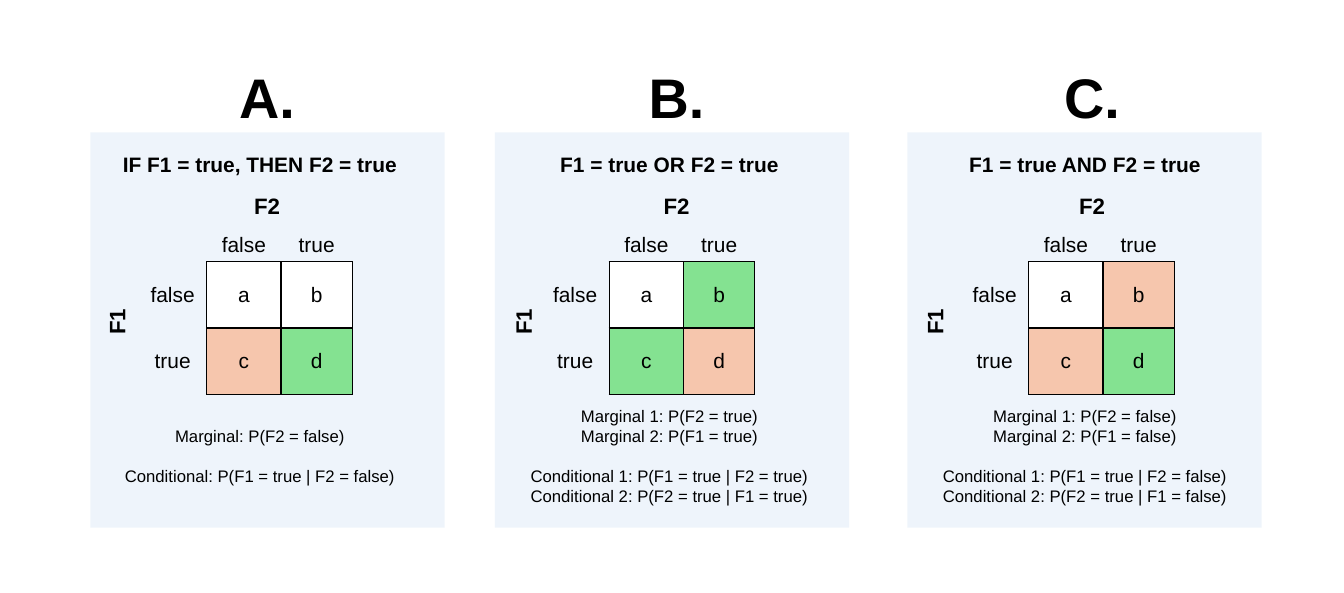
import dataclasses

import lxml.etree
import pptx
import pptx.dml.color
import pptx.enum.shapes
import pptx.enum.text
import pptx.oxml.ns
import pptx.util

Inches = pptx.util.Inches
qn = pptx.oxml.ns.qn


@dataclasses.dataclass(frozen=True)
class Theme:
    font: str = "Arial"
    ink: str = "000000"
    panel: str = "DCEAF7"
    panel_alpha: int = 48
    white: str = "FFFFFF"
    green: str = "84E291"
    orange: str = "F6C6AD"
    letter: int = 40
    axis: int = 16
    body: int = 15
    formula: int = 12
    border: int = 1


def rgb(color):
    return pptx.dml.color.RGBColor.from_string(color)


def write(tf, text, *, font, color, size, bold=False, gap=0):
    for i, block in enumerate(text.split("\n\n")):
        for j, line in enumerate(block.split("\n")):
            p = tf.paragraphs[0] if i == j == 0 else tf.add_paragraph()
            p.alignment = pptx.enum.text.PP_ALIGN.CENTER
            if i and j == 0:
                p.space_before = pptx.util.Pt(gap)
            r = p.add_run()
            r.text = line
            r.font.name = font
            r.font.size = pptx.util.Pt(size)
            r.font.bold = bold
            r.font.color.rgb = rgb(color)


class Deck:
    def __init__(self, theme, width, height):
        self.theme = theme
        self.prs = pptx.Presentation()
        self.prs.slide_width = Inches(width)
        self.prs.slide_height = Inches(height)
        self.s = self.prs.slides.add_slide(self.prs.slide_layouts[6])

    def panel(self, left, top, width, height):
        sp = self.s.shapes.add_shape(
            pptx.enum.shapes.MSO_SHAPE.RECTANGLE,
            Inches(left), Inches(top), Inches(width), Inches(height))
        sp.shadow.inherit = False
        sp.line.fill.background()
        sp.fill.solid()
        sp.fill.fore_color.rgb = rgb(self.theme.panel)
        color = sp.fill._xPr.find(".//" + qn("a:srgbClr"))
        lxml.etree.SubElement(
            color, qn("a:alpha"), val=str(self.theme.panel_alpha * 1000))

    def text(self, text, center, top, width, height, size, rotation=0, **style):
        sp = self.s.shapes.add_textbox(
            Inches(center - width / 2), Inches(top),
            Inches(width), Inches(height))
        sp.rotation = rotation
        tf = sp.text_frame
        tf.word_wrap = True
        tf.vertical_anchor = pptx.enum.text.MSO_ANCHOR.MIDDLE
        write(tf, text, font=self.theme.font, color=self.theme.ink,
              size=size, **style)

    def borders(self, cell, sides):
        tcPr = cell._tc.get_or_add_tcPr()
        for side in "LRTB":
            ln = lxml.etree.SubElement(
                tcPr, qn("a:ln" + side),
                w=str(pptx.util.Pt(self.theme.border)))
            if side in sides:
                fill = lxml.etree.SubElement(ln, qn("a:solidFill"))
                lxml.etree.SubElement(
                    fill, qn("a:srgbClr"), val=self.theme.ink)
            else:
                lxml.etree.SubElement(ln, qn("a:noFill"))

    def table(self, left, top, cols, rows, texts, fills):
        table = self.s.shapes.add_table(
            len(rows), len(cols), Inches(left), Inches(top),
            Inches(sum(cols)), Inches(sum(rows))).table
        table.first_row = table.horz_banding = False
        for column, width in zip(table.columns, cols):
            column.width = Inches(width)
        for row, height in zip(table.rows, rows):
            row.height = Inches(height)
        for i, line in enumerate(texts):
            for j, text in enumerate(line):
                cell = table.cell(i, j)
                cell.margin_left = cell.margin_right = Inches(0.08)
                cell.margin_top = cell.margin_bottom = 0
                cell.vertical_anchor = pptx.enum.text.MSO_ANCHOR.MIDDLE
                if i and j:
                    self.borders(cell, "LRTB")
                    cell.fill.solid()
                    cell.fill.fore_color.rgb = rgb(fills[text])
                else:
                    self.borders(cell, "R" if i else "B" if j else "")
                    cell.fill.background()
                if text:
                    write(cell.text_frame, text, font=self.theme.font,
                          color=self.theme.ink, size=self.theme.body)


@dataclasses.dataclass(frozen=True)
class Rule:
    letter: str
    title: str
    formulas: str
    fills: dict
    left: float
    center: float
    table_left: float
    row_axis: float


def draw_rule(deck, rule):
    t = deck.theme
    text_center = rule.center - 0.07
    deck.panel(rule.left, 1.32, 3.53, 3.94)
    deck.text(rule.letter, rule.center, 0.57, 0.88, 0.77, t.letter, bold=True)
    deck.text(rule.title, text_center, 1.46, 3.4, 0.35, t.body, bold=True)
    deck.text("F2", rule.center, 1.86, 0.88, 0.37, t.axis, bold=True)
    deck.text("F1", rule.row_axis, 3.02, 1.13, 0.37, t.axis,
              rotation=270, bold=True)
    deck.table(rule.table_left, 2.27, (0.68, 0.74, 0.71), (0.34, 0.66, 0.66),
               (("", "false", "true"), ("false", "a", "b"), ("true", "c", "d")),
               rule.fills)
    deck.text(rule.formulas, text_center, 3.99, 3.4, 1.11, t.formula, gap=14.5)


def main():
    t = Theme()
    deck = Deck(t, 13.39, 5.91)
    rules = (
        Rule("A.", "IF F1 = true, THEN F2 = true",
             "Marginal: P(F2 = false)\n\n"
             "Conditional: P(F1 = true | F2 = false)",
             dict(a=t.white, b=t.white, c=t.orange, d=t.green),
             0.9, 2.66, 1.38, 1.16),
        Rule("B.", "F1 = true OR F2 = true",
             "Marginal 1: P(F2 = true)\nMarginal 2: P(F1 = true)\n\n"
             "Conditional 1: P(F1 = true | F2 = true)\n"
             "Conditional 2: P(F2 = true | F1 = true)",
             dict(a=t.white, b=t.green, c=t.green, d=t.orange),
             4.93, 6.74, 5.39, 5.21),
        Rule("C.", "F1 = true AND F2 = true",
             "Marginal 1: P(F2 = false)\nMarginal 2: P(F1 = false)\n\n"
             "Conditional 1: P(F1 = true | F2 = false)\n"
             "Conditional 2: P(F2 = true | F1 = false)",
             dict(a=t.white, b=t.orange, c=t.orange, d=t.green),
             9.04, 10.88, 9.57, 9.31),
    )
    for rule in rules:
        draw_rule(deck, rule)
    deck.prs.save("out.pptx")


if __name__ == "__main__":
    main()
